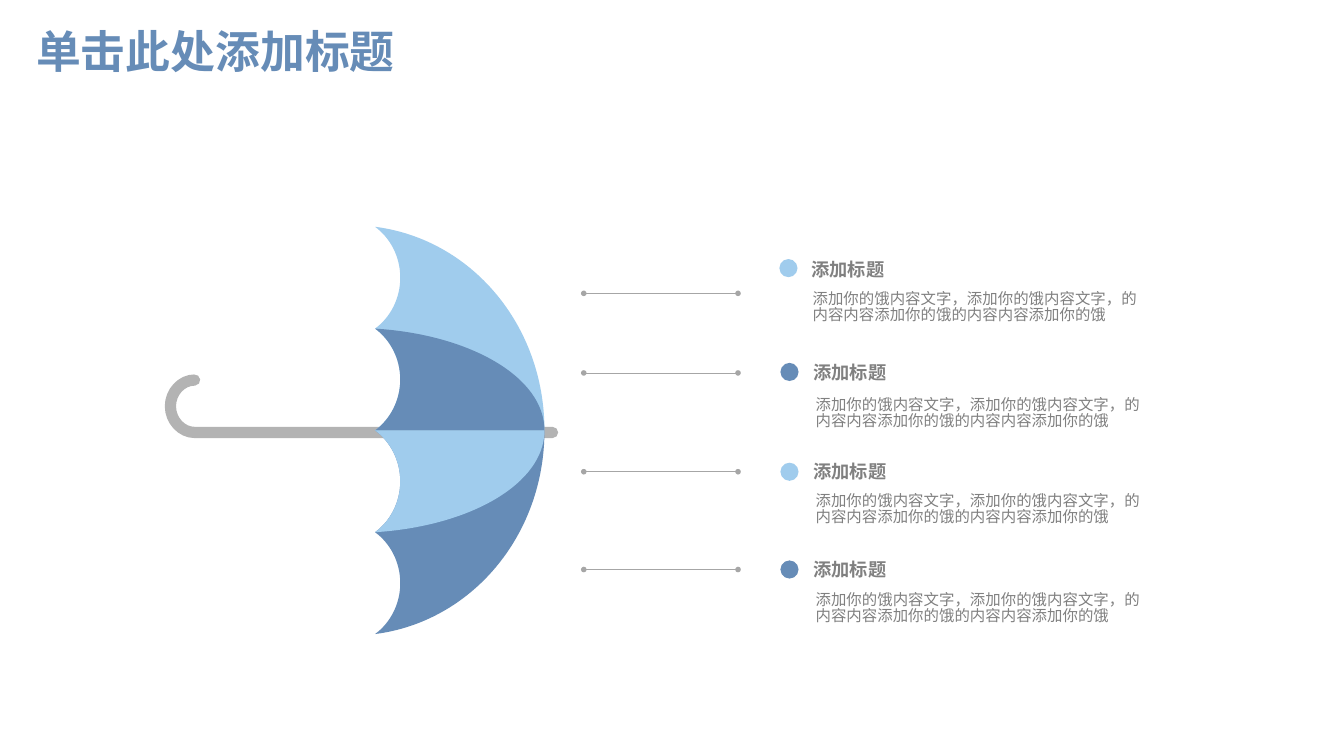
from lxml.etree import SubElement
from pptx import Presentation
from pptx.dml.color import RGBColor
from pptx.enum.shapes import MSO_CONNECTOR, MSO_SHAPE
from pptx.enum.text import MSO_ANCHOR, MSO_AUTO_SIZE
from pptx.oxml.ns import qn
from pptx.util import Inches, Pt

COLORS = {
    "light": "A0CCED",
    "dark": "668CB7",
    "handle": "B3B3B3",
    "line": "A6A6A6",
    "text": "808080",
    "white": "FFFFFF",
}
CJK_FONT = "Noto Sans CJK SC"
HEADING = "添加标题"
BODY = "添加你的饿内容文字，添加你的饿内容文字，的内容内容添加你的饿的内容内容添加你的饿"

# Canopy geometry: tip on the right, five rib ends on the left
TIP_X, TIP_Y = 5.4, 4.27
EDGE_X = 3.72
RIB_STEP = 1.01


def color(name):
    return RGBColor.from_string(COLORS[name])


def rib_points(number):
    """Tip, two control points and end; rib 0 is the top edge, 2 the axis."""
    drop = (number - 2) * RIB_STEP
    return [(TIP_X, TIP_Y), (TIP_X, TIP_Y + 0.52 * drop),
            (4.67, TIP_Y + 0.94 * drop), (EDGE_X, TIP_Y + drop)]


def rib(number, inward=False):
    """One segment: a straight line for the axis, a curve otherwise."""
    points = rib_points(number)[::-1] if inward else rib_points(number)
    return points[-1:] if number == 2 else points[1:]


def scallop(number):
    top = TIP_Y + (number - 2) * RIB_STEP
    middle, bottom = top + RIB_STEP / 2, top + RIB_STEP
    return [[(3.87, top + 0.11), (3.97, middle - 0.21), (3.97, middle)],
            [(3.97, middle + 0.21), (3.87, bottom - 0.11), (EDGE_X, bottom)]]


def panel(first, last):
    segments = [rib(first)]
    for number in range(first, last):
        segments += scallop(number)
    return segments + [rib(last, inward=True)]


def write(box, text, *, size, fill, bold=False, font=CJK_FONT, spacing=None):
    para = box.text_frame.paragraphs[0]
    if spacing is not None:
        para.line_spacing = spacing
    span = para.add_run()
    span.text = text
    span.font.size = Pt(size)
    span.font.bold = bold
    span.font.name = font
    span.font.color.rgb = color(fill)
    SubElement(span.font._element, qn("a:ea")).set("typeface", CJK_FONT)


class UmbrellaSlide:
    def __init__(self, deck):
        self.page = deck.slides.add_slide(deck.slide_layouts[6])

    def text_box(self, left, top, width, height, text, *, title=False, **style):
        box = self.page.shapes.add_textbox(*map(Inches, (left, top, width, height)))
        frame = box.text_frame
        frame.word_wrap = True
        if title:
            frame.vertical_anchor = MSO_ANCHOR.MIDDLE
        else:
            frame.auto_size = MSO_AUTO_SIZE.SHAPE_TO_FIT_TEXT
            frame.margin_left = frame.margin_right = Inches(0.13)
            frame.margin_top = frame.margin_bottom = Inches(0.07)
        write(box, text, **style)

    def paint(self, shape, fill):
        shape.shadow.inherit = False
        shape.fill.solid()
        shape.fill.fore_color.rgb = color(fill)
        shape.line.fill.background()

    def preset(self, kind, left, top, width, height, fill):
        shape = self.page.shapes.add_shape(kind, *map(Inches, (left, top, width, height)))
        self.paint(shape, fill)
        return shape

    def backdrop(self):
        shape = self.preset(MSO_SHAPE.RECTANGLE, 0, 0.85, 13.33, 6.65, "white")
        tone = shape._element.spPr.find(".//" + qn("a:srgbClr"))
        SubElement(tone, qn("a:alpha")).set("val", "90000")

    def outline(self, shapes, start, segments, close=True):
        """Segments of three points become curves, of one point lines."""
        builder = shapes.build_freeform(*map(Inches, start), scale=1.0)
        builder.add_line_segments(
            [(Inches(x), Inches(y)) for segment in segments for x, y in segment],
            close=close)
        shape = builder.convert_to_shape()
        steps = iter(shape._element.findall(".//" + qn("a:lnTo")))
        for segment in segments:
            parts = [next(steps) for _ in segment]
            parts[0].tag = qn("a:cubicBezTo" if len(parts) == 3 else "a:lnTo")
            for part in parts[1:]:
                parts[0].append(part[0])
                part.getparent().remove(part)
        return shape

    def canopy_panel(self, shapes, first, last, fill):
        self.paint(self.outline(shapes, (TIP_X, TIP_Y), panel(first, last)), fill)

    def handle(self, shapes):
        hook = [[(1.8, 3.77), (1.69, 3.89), (1.69, 4.03)],
                [(1.69, 4.17), (1.8, 4.29), (1.93, 4.29)],
                [(5.48, 4.29)]]
        shape = self.outline(shapes, (1.93, 3.77), hook, close=False)
        shape.shadow.inherit = False
        shape.fill.background()
        shape.line.color.rgb = color("handle")
        shape.line.width = Pt(8)
        shape.line._get_or_add_ln().set("cap", "rnd")

    def pointer(self, y):
        line = self.page.shapes.add_connector(
            MSO_CONNECTOR.STRAIGHT, Inches(5.79), Inches(y), Inches(7.32), Inches(y))
        line.line.color.rgb = color("line")
        line.line.width = Pt(0.5)
        for name in ("a:headEnd", "a:tailEnd"):
            end = SubElement(line.line._get_or_add_ln(), qn(name))
            for key, value in (("type", "oval"), ("w", "sm"), ("len", "sm")):
                end.set(key, value)
        SubElement(line._element.spPr, qn("a:effectLst"))


def main():
    deck = Presentation()
    deck.slide_width, deck.slide_height = Inches(13.33), Inches(7.5)
    slide = UmbrellaSlide(deck)
    slide.backdrop()

    # Body texts
    for left, top in ((7.93, 2.82), (7.96, 3.88), (7.96, 4.83), (7.96, 5.81)):
        slide.text_box(left, top, 3.56, 0.44, BODY,
                       size=11, fill="text", spacing=Pt(11.4))

    # Umbrella: outer panels lie behind the inner ones
    umbrella = slide.page.shapes.add_group_shape().shapes
    slide.handle(umbrella)
    for first, last, fill in ((2, 4, "dark"), (0, 2, "light"),
                              (1, 2, "dark"), (2, 3, "light")):
        slide.canopy_panel(umbrella, first, last, fill)

    # Headings with their dots
    for dot_left, dot_top, left, top, fill in (
            (7.73, 2.57, 7.92, 2.49, "light"),
            (7.74, 3.6, 7.94, 3.51, "dark"),
            (7.74, 4.59, 7.94, 4.5, "light"),
            (7.74, 5.56, 7.94, 5.47, "dark")):
        slide.preset(MSO_SHAPE.OVAL, dot_left, dot_top, 0.18, 0.18, fill)
        slide.text_box(left, top, 1.2, 0.36, HEADING, size=13, fill="text", bold=True)

    # Pointers
    for y in (2.91, 3.7, 4.68, 5.65):
        slide.pointer(y)

    # Title
    slide.text_box(0.26, 0.23, 11.5, 0.62, "单击此处添加标题", title=True, size=32,
                   fill="dark", bold=True, font="Montserrat", spacing=0.9)

    deck.save("out.pptx")


if __name__ == "__main__":
    main()
